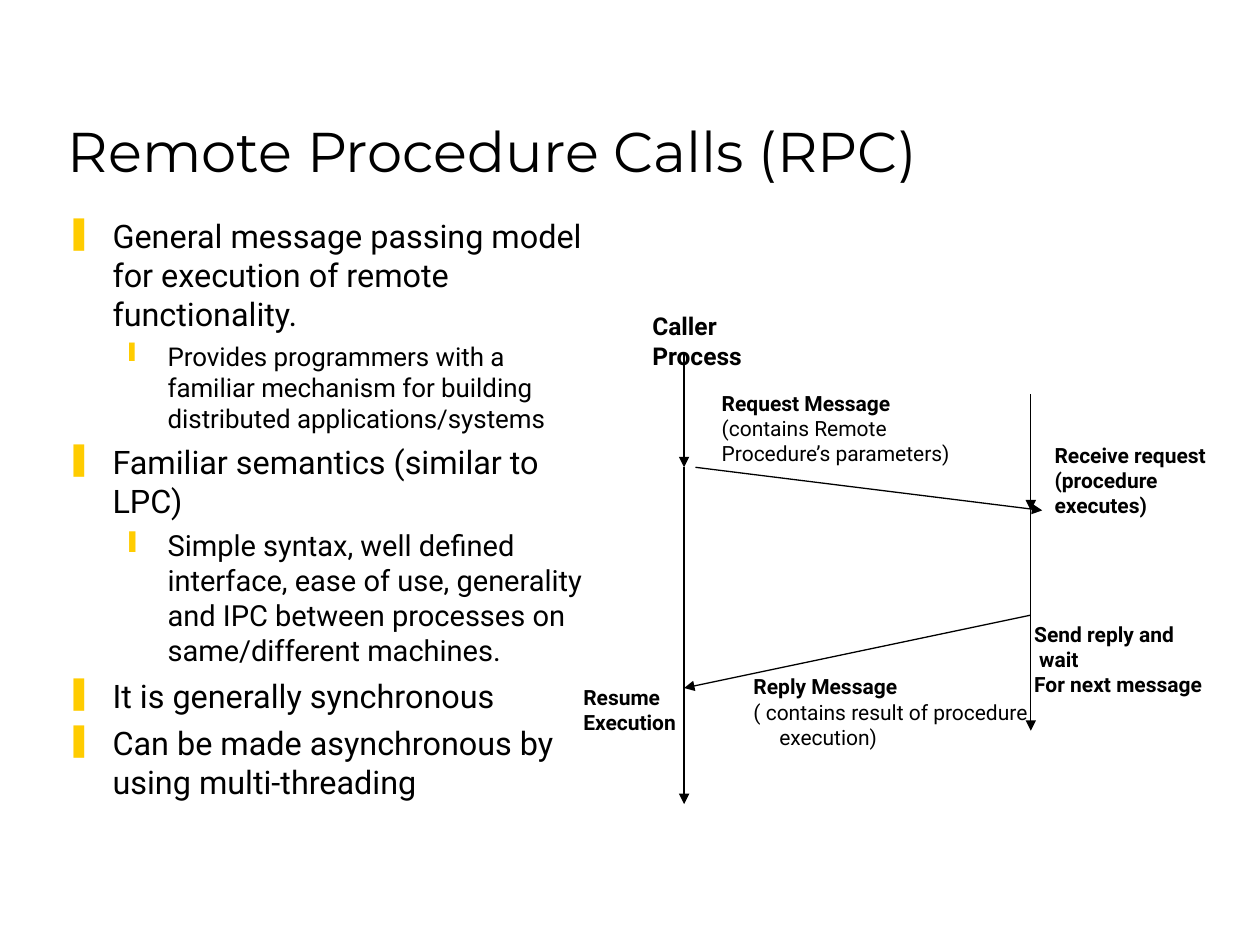
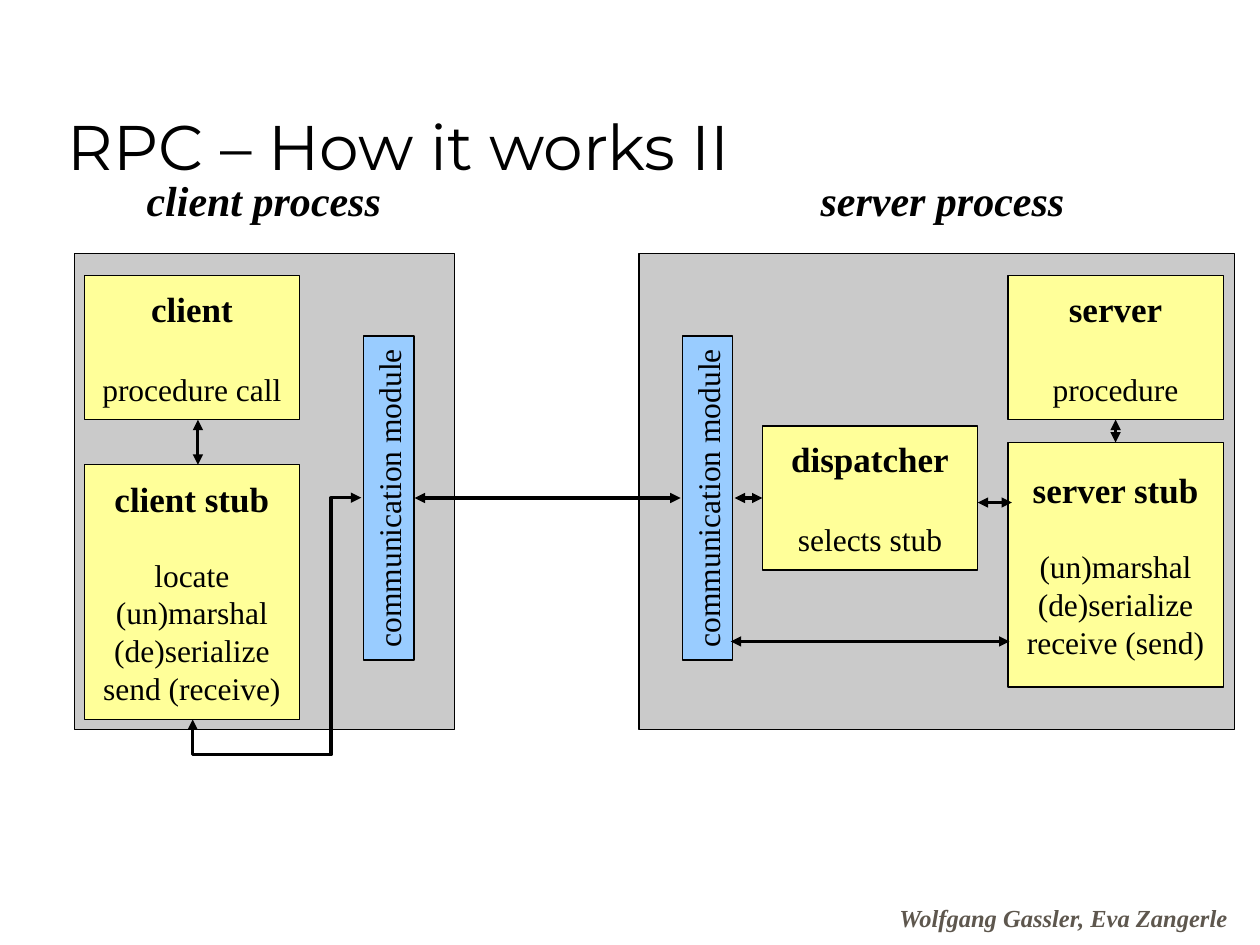
import dataclasses

import pptx
import pptx.dml.color
import pptx.enum.shapes
import pptx.enum.text
import pptx.oxml.ns
import pptx.util
from lxml import etree

Cm = pptx.util.Cm
Pt = pptx.util.Pt
Align = pptx.enum.text.PP_ALIGN
Anchor = pptx.enum.text.MSO_ANCHOR
AutoSize = pptx.enum.text.MSO_AUTO_SIZE
Connector = pptx.enum.shapes.MSO_CONNECTOR
qn = pptx.oxml.ns.qn

TOP, LEFT, BOTTOM, RIGHT = range(4)


@dataclasses.dataclass(frozen=True)
class Theme:
    black: str = "000000"
    bullet: str = "FFCC00"
    frame: str = "969696"
    card: str = "FFFF99"
    module: str = "99CCFF"
    credit: str = "5E574E"
    heading_font: str = "Montserrat"
    body_font: str = "Roboto"
    diagram_font: str = "Times New Roman"
    point: float = 18.5
    caption: float = 14
    label: float = 12
    card_title: float = 20
    card_text: float = 18
    process: float = 24
    thin: float = 0.75
    thick: float = 1.75


THEME = Theme()


def apply(target, values):
    for name, value in values.items():
        setattr(target, name, value)


def child(parent, tag, **attributes):
    return etree.SubElement(parent, qn(tag), attributes)


class Deck:
    def __init__(self, theme):
        self.theme = theme
        self.presentation = pptx.Presentation()
        apply(self.presentation, {"slide_width": Cm(25.4), "slide_height": Cm(19.05)})
        self.slide = None

    def add_slide(self, title, size):
        self.slide = self.presentation.slides.add_slide(self.presentation.slide_layouts[6])
        self.text((1.12, 0.64, 21.59, 3.18), [(title, {})], size,
                  self.theme.heading_font, vertical_anchor=Anchor.BOTTOM)

    def style(self, paragraph, size, font, color=None, **format_values):
        apply(paragraph.font, {"size": Pt(size), "name": font, **format_values})
        paragraph.font.color.rgb = pptx.dml.color.RGBColor.from_string(color or self.theme.black)

    def paragraphs(self, frame, lines, size, font, align=Align.LEFT, **format_values):
        for index, (text, changes) in enumerate(lines):
            paragraph = frame.paragraphs[0] if index == 0 else frame.add_paragraph()
            paragraph.text = text
            paragraph.alignment = align
            changes = dict(changes)
            if "indent" in changes:
                paragraph._p.get_or_add_pPr().set("marL", str(Cm(changes.pop("indent"))))
            if "gap" in changes:
                paragraph.space_before = Pt(changes.pop("gap"))
            self.style(paragraph, **{"size": size, "font": font, **format_values, **changes})

    def text(self, box, lines, size, font, wrap=True, grow=False,
             vertical_anchor=Anchor.TOP, **format_values):
        shape = self.slide.shapes.add_textbox(*map(Cm, box))
        apply(shape.text_frame, {
            "word_wrap": wrap,
            "auto_size": AutoSize.SHAPE_TO_FIT_TEXT if grow else AutoSize.NONE,
            "vertical_anchor": vertical_anchor,
        })
        self.paragraphs(shape.text_frame, lines, size, font, **format_values)

    def bullets(self, box, points):
        shape = self.slide.shapes.add_textbox(*map(Cm, box))
        shape.text_frame.word_wrap = True
        for index, (level, size, gap, text) in enumerate(points):
            frame = shape.text_frame
            paragraph = frame.paragraphs[0] if index == 0 else frame.add_paragraph()
            paragraph.text = text
            paragraph.level = level
            margin, hanging, mark = [(0.95, 0.95, "❚"), (2.06, 0.79, "❙")][level]
            properties = paragraph._p.get_or_add_pPr()
            properties.set("marL", str(Cm(margin)))
            properties.set("indent", str(-Cm(hanging)))
            child(child(properties, "a:buClr"), "a:srgbClr", val=self.theme.bullet)
            child(properties, "a:buChar", char=mark)
            if index:
                paragraph.space_before = Pt(gap)
            self.style(paragraph, size, self.theme.body_font)

    def rectangle(self, box, fill, lines=(), opacity=None, rotation=0):
        shape = self.slide.shapes.add_shape(
            pptx.enum.shapes.MSO_SHAPE.RECTANGLE, *map(Cm, box))
        shape.shadow.inherit = False
        shape.rotation = rotation
        shape.fill.solid()
        shape.fill.fore_color.rgb = pptx.dml.color.RGBColor.from_string(fill)
        if opacity is not None:
            color = shape._element.spPr.find(qn("a:solidFill")).find(qn("a:srgbClr"))
            child(color, "a:alpha", val=str(opacity * 1000))
        self.outline(shape, self.theme.thin)
        apply(shape.text_frame, {"word_wrap": False, "vertical_anchor": Anchor.MIDDLE})
        if lines:
            self.paragraphs(shape.text_frame, lines, self.theme.card_text,
                            self.theme.diagram_font, Align.CENTER)
        return shape

    def card(self, box, title, details, gap):
        heading = (title, {"size": self.theme.card_title, "bold": True})
        first = (details[0], {"gap": gap})
        return self.rectangle(box, self.theme.card,
                              [heading, first] + [(line, {}) for line in details[1:]])

    def module(self, left):
        return self.rectangle((left, 9.53, 6.53, 1.02), self.theme.module,
                              [("communication module", {})], rotation=270)

    def outline(self, shape, width):
        shape.line.width = Pt(width)
        shape.line.color.rgb = pptx.dml.color.RGBColor.from_string(self.theme.black)

    def arrow(self, start, end, width, ends=("tail",), begin_at=None, end_at=None,
              kind=Connector.STRAIGHT):
        connector = self.slide.shapes.add_connector(kind, *map(Cm, start + end))
        if begin_at:
            connector.begin_connect(*begin_at)
        if end_at:
            connector.end_connect(*end_at)
        if begin_at or end_at:
            apply(connector, {"begin_x": Cm(start[0]), "begin_y": Cm(start[1]),
                              "end_x": Cm(end[0]), "end_y": Cm(end[1])})
        self.outline(connector, width)
        line = connector.line._get_or_add_ln()
        for name in ends:
            child(line, f"a:{name}End", type="triangle")
        child(connector._element.spPr, "a:effectLst")
        return connector

    def double_arrow(self, start, end, **joins):
        return self.arrow(start, end, self.theme.thick, ("head", "tail"), **joins)

    def bent_arrow(self, start, end, adjustments):
        connector = self.double_arrow(start, end, kind=Connector.ELBOW)
        properties = connector._element.spPr
        properties.find(qn("a:xfrm")).set("rot", str(90 * 60000))
        geometry = properties.find(qn("a:prstGeom"))
        geometry.set("prst", "bentConnector4")
        guides = geometry.find(qn("a:avLst"))
        if guides is None:
            guides = child(geometry, "a:avLst")
        for number, value in enumerate(adjustments, 1):
            child(guides, "a:gd", name=f"adj{number}", fmla=f"val {round(value * 100000)}")


def build_overview(deck):
    theme = deck.theme
    deck.add_slide("Remote Procedure Calls (RPC)", 32)
    deck.bullets((1.07, 4.24, 11.15, 13.33), [
        (0, theme.point, 5, "General message passing model for execution of remote functionality."),
        (1, 14.8, 4, "Provides programmers with a familiar mechanism for building "
                     "distributed applications/systems"),
        (0, theme.point, 5, "Familiar semantics (similar to LPC)"),
        (1, 16.6, 4.5, "Simple syntax, well defined interface, ease of use, generality "
                       "and IPC between processes on same/different machines."),
        (0, theme.point, 5, "It is generally synchronous"),
        (0, theme.point, 5, "Can be made asynchronous by using multi-threading"),
    ])

    caller, server = 13.79, 20.78
    call, resume, receive, reply = 9.42, 13.87, 10.29, 12.4
    lifelines = [
        (caller, 7.11, call, ("tail",)),
        (caller, resume, 16.21, ("tail",)),
        (caller, call, resume, ()),
        (server, reply, 14.73, ("tail",)),
        (server, receive, reply, ()),
        (server, 7.95, receive, ("tail",)),
    ]
    for x, top, bottom, ends in lifelines:
        deck.arrow((x, top), (x, bottom), theme.thin, ends)
    deck.arrow((14.02, call), (21.01, receive), theme.thin)
    deck.arrow((server, reply), (caller, resume), theme.thin)

    plain = {"bold": False}
    deck.text((12.9, 6.15, 3, 1.45), [("Caller Process", {})], theme.caption,
              theme.body_font, grow=True, bold=True)
    labels = [
        ((14.3, 7.75, 5.38, 1.78), False, [("Request Message", {}), ("(contains Remote", plain),
                                           ("Procedure’s parameters)", plain)]),
        ((21.01, 8.79, 3.61, 2.29), True, [("Receive request", {}), ("(procedure", {}),
                                           ("executes)", {})]),
        ((20.6, 12.4, 4.22, 1.78), False, [("Send reply and", {}), ("wait", {"indent": 0.1}),
                                           ("For next message", {})]),
        ((11.51, 13.67, 2.59, 1.27), False, [("Resume", {}), ("Execution", {})]),
        ((14.94, 13.46, 6.38, 1.78), False, [("Reply Message", {}),
                                             ("( contains result of procedure", plain),
                                             ("execution)", {"indent": 0.52, **plain})]),
    ]
    for box, wrap, lines in labels:
        deck.text(box, lines, theme.label, theme.body_font, wrap=wrap, grow=True, bold=True)


def build_components(deck):
    theme = deck.theme
    deck.add_slide("RPC – How it works II", 36)
    for left, width in [(1.5, 7.67), (12.88, 12.01)]:
        deck.rectangle((left, 5.11, width, 9.6), theme.frame, opacity=50)

    client_left, server_left, dispatcher_left = 1.7, 20.32, 15.37
    width, height, top = 4.34, 2.9, 5.56
    deck.card((client_left, top, width, height), "client", ["procedure call"], 23)
    deck.card((client_left, 9.37, width, 5.13), "client stub",
              ["locate", "(un)marshal", "(de)serialize", "send (receive)"], 20.7)
    client_module, server_module = [deck.module(left) for left in (4.57, 11)]
    server = deck.card((server_left, top, width, height), "server", ["procedure"], 23)
    server_stub = deck.card((server_left, 8.92, width, 4.93), "server stub",
                            ["(un)marshal", "(de)serialize", "receive (send)"], 20.7)
    dispatcher = deck.card((dispatcher_left, 8.59, width, height), "dispatcher",
                           ["selects stub"], 23)

    middle = 10.04
    deck.double_arrow((3.99, 8.46), (3.99, 9.37))
    deck.bent_arrow((7.82, 13.97), (3.35, 10.57), (-0.16, 0.82))
    deck.double_arrow((8.36, middle), (13.72, middle),
                      begin_at=(client_module, BOTTOM), end_at=(server_module, TOP))
    deck.double_arrow((14.81, middle), (dispatcher_left, middle),
                      begin_at=(server_module, BOTTOM), end_at=(dispatcher, LEFT))
    deck.double_arrow((22.49, 8.92), (22.49, 8.46),
                      begin_at=(server_stub, TOP), end_at=(server, BOTTOM))
    deck.double_arrow((19.71, 10.13), (20.4, 10.13))
    deck.double_arrow((20.35, 12.93), (14.73, 12.93))

    emphasis = {"bold": True, "italic": True}
    for name, left, label_width in [("client process", 1.7, 7.24), ("server process", 13.31, 11.38)]:
        deck.text((left, 3.4, label_width, 1.27), [(name, {})], theme.process,
                  theme.diagram_font, grow=True, align=Align.CENTER, **emphasis)
    deck.text((17.88, 18.08, 7.52, 0.97), [("Wolfgang Gassler, Eva Zangerle", {})],
              theme.caption, theme.diagram_font, color=theme.credit, **emphasis)


def main():
    deck = Deck(THEME)
    build_overview(deck)
    build_components(deck)
    deck.presentation.save("out.pptx")


if __name__ == "__main__":
    main()
